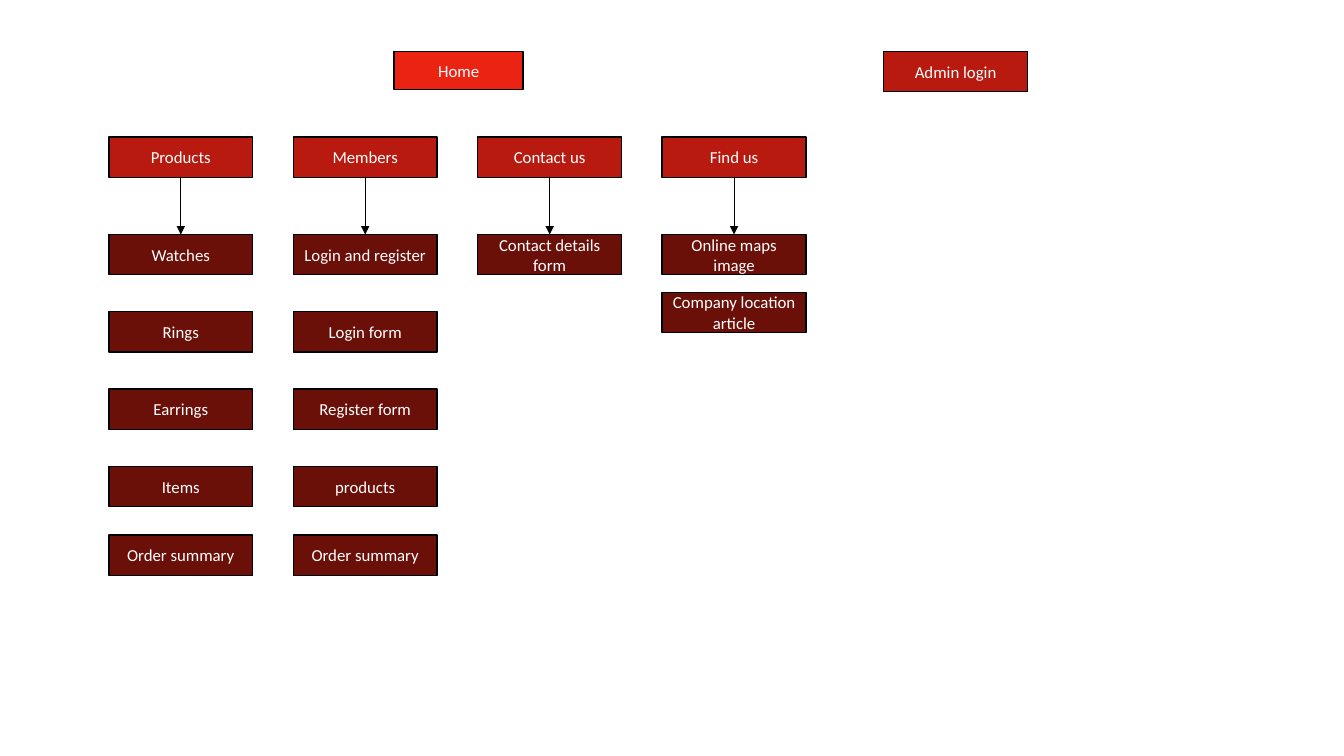
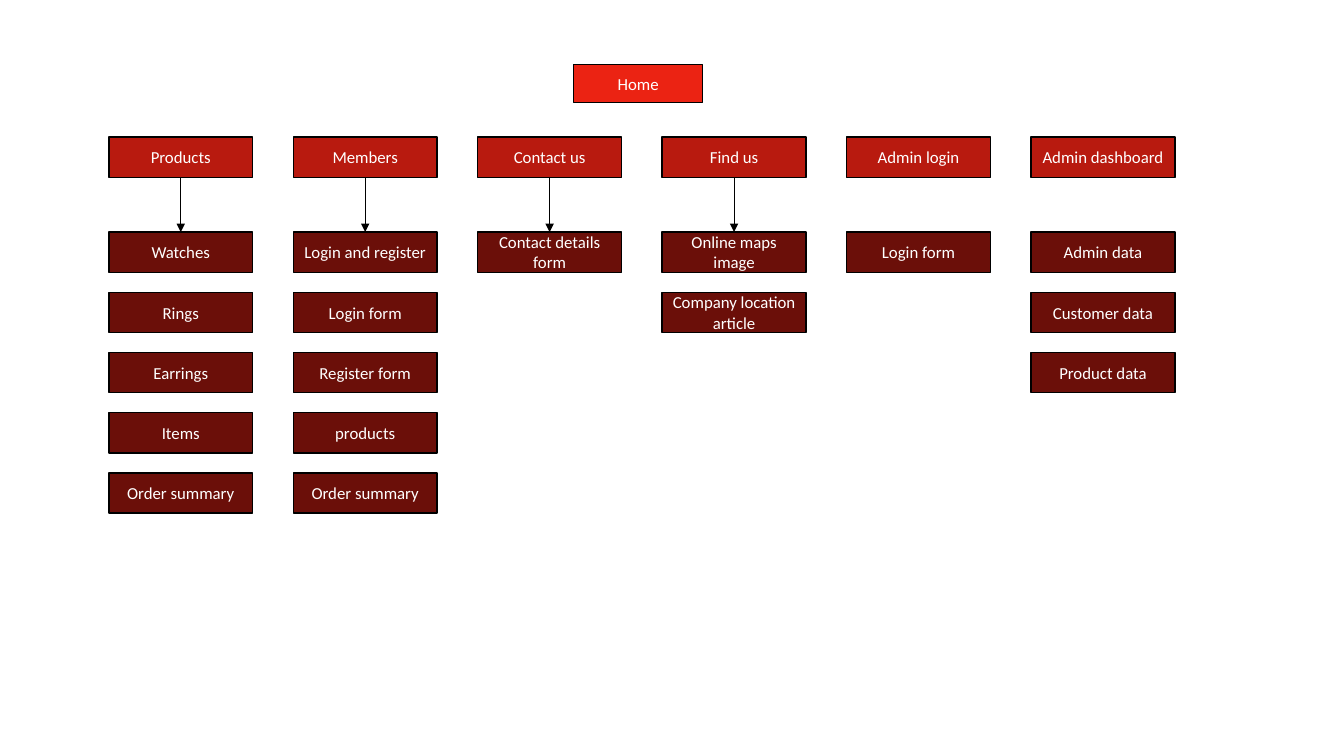
from pptx import Presentation
from pptx.dml.color import RGBColor
from pptx.enum.shapes import MSO_CONNECTOR, MSO_SHAPE
from pptx.enum.text import MSO_ANCHOR, PP_ALIGN
from pptx.oxml.ns import qn
from pptx.util import Pt
from lxml.etree import SubElement


def rgb(hex_string):
    """Turn a hex string into a colour."""
    return RGBColor.from_string(hex_string)


class SiteMap:
    """Style of the site map and the slide being drawn."""

    FONT, TEXT_SIZE = "Calibri", 12
    HOME, SECTION, PAGE = "EB2313", "B81A0F", "6B0F09"
    INK, TEXT = "000000", "FFFFFF"
    LEFT, COLUMN_PITCH, SECTION_TOP = 77.75, 131.75, 98
    BOX_WIDTH, BOX_HEIGHT = 102.75, 28.75

    def __init__(self):
        """Open a widescreen deck."""
        self.deck = Presentation()
        self.deck.slide_width, self.deck.slide_height = Pt(960), Pt(540)
        self.slide = None

    def add_slide(self):
        """Start a blank slide."""
        self.slide = self.deck.slides.add_slide(self.deck.slide_layouts[6])

    def box(self, label, left, top, fill, width=BOX_WIDTH, height=BOX_HEIGHT):
        """Draw a labelled box."""
        box = self.slide.shapes.add_shape(
            MSO_SHAPE.RECTANGLE, Pt(left), Pt(top), Pt(width), Pt(height))
        box.shadow.inherit = False
        box.fill.solid()
        box.fill.fore_color.rgb = rgb(fill)
        box.line.color.rgb = rgb(self.INK)
        box.line.width = Pt(1)
        frame = box.text_frame
        frame.word_wrap = True
        frame.vertical_anchor = MSO_ANCHOR.MIDDLE
        paragraph = frame.paragraphs[0]
        paragraph.text = label
        paragraph.alignment = PP_ALIGN.CENTER
        paragraph.font.name = self.FONT
        paragraph.font.size = Pt(self.TEXT_SIZE)
        paragraph.font.color.rgb = rgb(self.TEXT)
        return box

    def home(self, left, top):
        """Draw the root box."""
        self.box("Home", left, top, self.HOME, 92.25, 27.25)

    def arrow(self, upper, lower):
        """Join two boxes with a downward arrow."""
        arrow = self.slide.shapes.add_connector(MSO_CONNECTOR.STRAIGHT, 0, 0, 0, 0)
        arrow.begin_connect(upper, 2)
        arrow.end_connect(lower, 0)
        arrow.line.color.rgb = rgb(self.INK)
        arrow.line.width = Pt(0.5)
        SubElement(arrow.line._get_or_add_ln(), qn("a:tailEnd"), type="triangle")
        SubElement(arrow._element.spPr, qn("a:effectLst"))

    def section(self, column, name, pages, tops, linked=True):
        """Draw a section heading with its pages below."""
        left = self.LEFT + column * self.COLUMN_PITCH
        heading = self.box(name, left, self.SECTION_TOP, self.SECTION)
        boxes = [self.box(page, left, top, self.PAGE)
                 for page, top in zip(pages, tops)]
        if linked:
            self.arrow(heading, boxes[0])


PUBLIC_SECTIONS = {
    "Products": ["Watches", "Rings", "Earrings", "Items", "Order summary"],
    "Members": ["Login and register", "Login form", "Register form",
                "products", "Order summary"],
    "Contact us": ["Contact details form"],
    "Find us": ["Online maps image", "Company location article"],
}
ADMIN_SECTIONS = {
    "Admin login": ["Login form"],
    "Admin dashboard": ["Admin data", "Customer data", "Product data"],
}


def main():
    """Build both site maps."""
    site = SiteMap()

    site.add_slide()
    site.home(281.5, 36.75)
    wide_rows = [167.5 + 55.25 * row for row in range(4)] + [382.25]
    location_rows = [167.5, 208.75]
    for column, (name, pages) in enumerate(PUBLIC_SECTIONS.items()):
        tops = location_rows if name == "Find us" else wide_rows
        site.section(column, name, pages, tops)
    site.box("Admin login", 631.25, 36.75, site.SECTION)

    site.add_slide()
    site.home(409.75, 46)
    even_rows = [165.75 + 43 * row for row in range(5)]
    sections = PUBLIC_SECTIONS | ADMIN_SECTIONS
    for column, (name, pages) in enumerate(sections.items()):
        site.section(column, name, pages, even_rows, name in PUBLIC_SECTIONS)

    site.deck.save("out.pptx")


if __name__ == "__main__":
    main()
